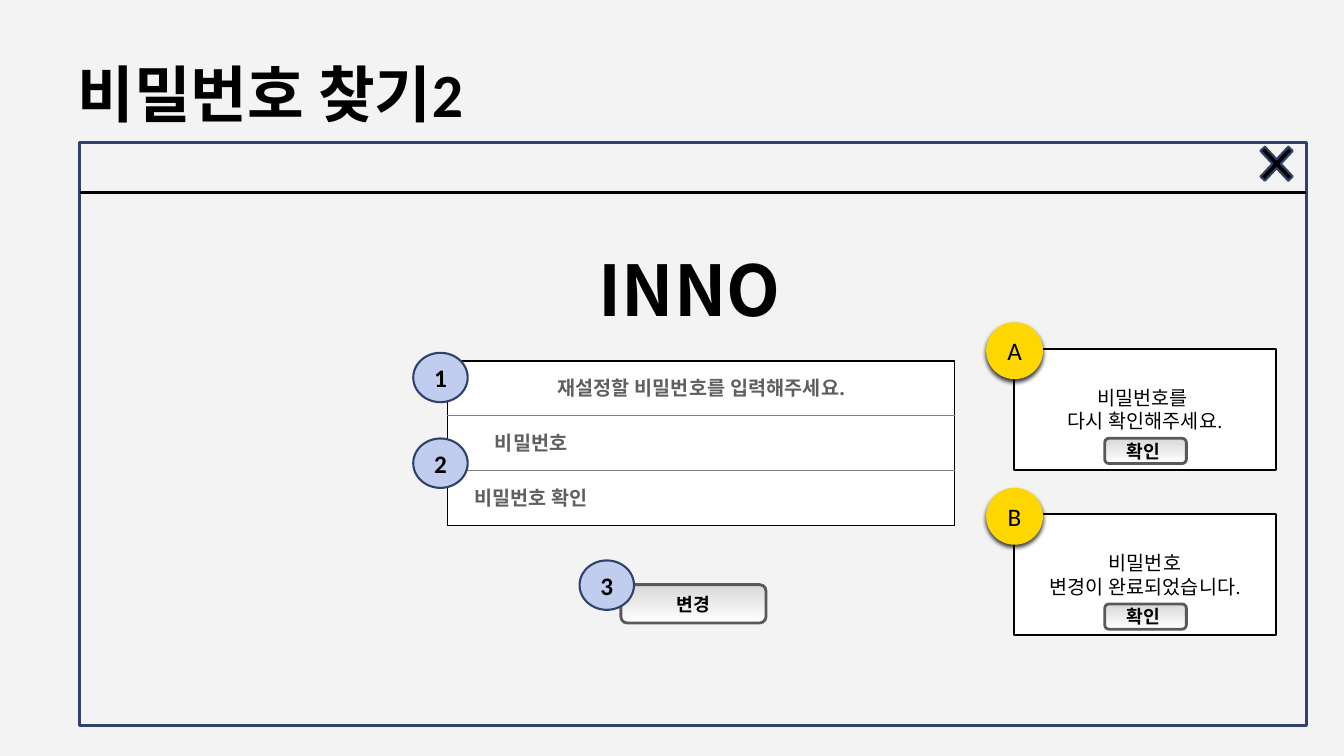
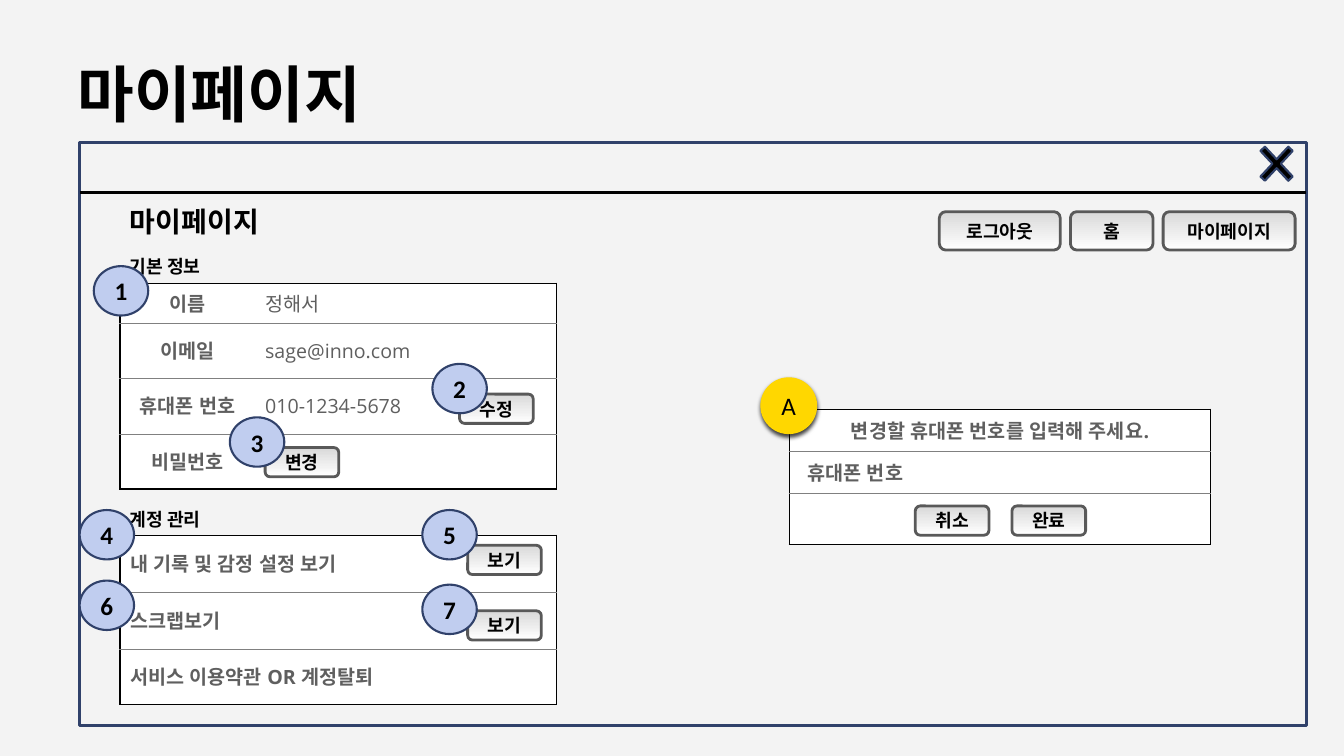
from lxml import etree
from pptx import Presentation
from pptx.dml.color import RGBColor
from pptx.enum import shapes, text
from pptx.oxml import ns
from pptx.util import Pt

BACKGROUND = RGBColor(0xF3, 0xF3, 0xF3)
WHITE = RGBColor(0xFF, 0xFF, 0xFF)
BLACK = RGBColor(0x00, 0x00, 0x00)
NAVY = RGBColor(0x30, 0x41, 0x6A)
LAVENDER = RGBColor(0xC0, 0xCD, 0xEF)
GOLD = RGBColor(0xFF, 0xD7, 0x00)
SILVER = RGBColor(0xD9, 0xD9, 0xD9)
BUTTON_EDGE = RGBColor(0x59, 0x59, 0x59)
CELL_TEXT = RGBColor(0x5F, 0x5F, 0x5F)
ROW_LINE = RGBColor(0x80, 0x80, 0x80)

BODY = "Calibri"
HEADING = "Noto Sans CJK KR"
TABLE = "Open Sans"

SHAPE = shapes.MSO_SHAPE
LEFT, CENTER = text.PP_ALIGN.LEFT, text.PP_ALIGN.CENTER
MIDDLE, TOP = text.MSO_ANCHOR.MIDDLE, text.MSO_ANCHOR.TOP

WINDOW_X, WINDOW_Y, WINDOW_W, WINDOW_H = 57, 101.5, 876.2, 416.9
BAR_Y = 137.5
COLUMN_X = 85.7
SMALL_BUTTON = (52.6, 20.9)


def sub(parent, tag, **attrs):
    return etree.SubElement(parent, ns.qn(tag), attrs)


def points(*values):
    return [Pt(v) for v in values]


# Text
def add_run(p, content, size, font=BODY, color=BLACK, bold=True):
    r = p.add_run()
    r.text = content
    r.font.size = Pt(size)
    r.font.name = font
    r.font.bold = bold
    r.font.color.rgb = color
    sub(r.font._element, "a:ea", typeface=font)


def add_text(s, x, y, w, h, content, size, font=BODY, anchor=TOP):
    tf = s.shapes.add_textbox(*points(x, y, w, h)).text_frame
    tf.word_wrap = True
    tf.vertical_anchor = anchor
    add_run(tf.paragraphs[0], content, size, font)


# Shapes
def add_shape(s, kind, x, y, w, h, edge, width, fill=None,
              lines=(), size=18, bold=True):
    sp = s.shapes.add_shape(kind, *points(x, y, w, h))
    sp.shadow.inherit = False
    sp.line.color.rgb = edge
    sp.line.width = Pt(width)
    if fill is None:
        sp.fill.background()
    else:
        sp.fill.solid()
        sp.fill.fore_color.rgb = fill
    tf = sp.text_frame
    tf.word_wrap = True
    tf.vertical_anchor = MIDDLE
    for i, line in enumerate(lines):
        p = tf.add_paragraph() if i else tf.paragraphs[0]
        p.alignment = CENTER
        add_run(p, line, size, bold=bold)
    return sp


def add_button(s, x, y, w, h, label):
    sp = add_shape(s, SHAPE.ROUNDED_RECTANGLE, x, y, w, h, BUTTON_EDGE, 2,
                   lines=[label], size=13)
    sp.fill.gradient()
    sp.fill.gradient_angle = 270
    for stop, color in zip(sp.fill.gradient_stops, (SILVER, WHITE)):
        stop.color.rgb = color


def add_steps(s, positions):
    """Numbered badges, counted from 1."""
    for number, (x, y) in enumerate(positions, 1):
        add_shape(s, SHAPE.OVAL, x, y, 38.9, 35.3, NAVY, 1.5, LAVENDER,
                  [str(number)])


def add_popup_badge(s, x, y, letter):
    sp = add_shape(s, SHAPE.OVAL, x, y, 39.6, 39.6, GOLD, 1, GOLD,
                   [letter], bold=False)
    effects = sp._element.spPr.find(ns.qn("a:effectLst"))
    shadow = sub(effects, "a:outerShdw", blurRad=str(Pt(3)), dist=str(Pt(2)),
                 dir="5400000", algn="t", rotWithShape="0")
    sub(sub(shadow, "a:srgbClr", val=str(BLACK)), "a:alpha", val="75000")


def add_popup(s, x, y, letter, lines):
    add_shape(s, SHAPE.RECTANGLE, x, y, 187.2, 86.4, BLACK, 1.5, WHITE,
              lines, size=14, bold=False)
    add_popup_badge(s, x - 19.4, y - 18.4, letter)
    add_button(s, x + 64.8, y + 64, 58.3, 18, "확인 ")


# Tables
def set_border(cell, side, color=None, width=0):
    ln = sub(cell._tc.get_or_add_tcPr(), "a:ln" + side, w=str(Pt(width)))
    if color is None:
        sub(ln, "a:noFill")
    else:
        sub(sub(ln, "a:solidFill"), "a:srgbClr", val=str(color))


def add_form(s, x, y, widths, heights, rows, styles):
    """Form with a black frame and grey row lines; styles holds the alignment
    and weight of each column. A row with one text spans all columns."""
    table = s.shapes.add_table(len(heights), len(widths),
                               *points(x, y, sum(widths), sum(heights))).table
    table.first_row = table.horz_banding = False
    for column, w in zip(table.columns, widths):
        column.width = Pt(w)
    for row, h in zip(table.rows, heights):
        row.height = Pt(h)

    frame, divider = (BLACK, 1), (ROW_LINE, 0.5)
    last_row, last_col = len(heights) - 1, len(widths) - 1
    for i, values in enumerate(rows):
        if len(values) == 1 and last_col:
            table.cell(i, 0).merge(table.cell(i, last_col))
        for j in range(len(widths)):
            cell = table.cell(i, j)
            at_right = j + cell.span_width > last_col
            set_border(cell, "L", *(frame if j == 0 else ()))
            set_border(cell, "R", *(frame if at_right else ()))
            set_border(cell, "T", *(frame if i == 0 else divider))
            set_border(cell, "B", *(frame if i == last_row else divider))
            cell.fill.solid()
            cell.fill.fore_color.rgb = WHITE
            cell.vertical_anchor = MIDDLE
            if j < len(values) and values[j]:
                align, bold = styles[j]
                p = cell.text_frame.paragraphs[0]
                p.alignment = align
                add_run(p, values[j], 14, TABLE, CELL_TEXT, bold)


# Parts shared by every screen
def add_screen(prs, title):
    s = prs.slides.add_slide(prs.slide_layouts[6])
    add_text(s, 48.2, 21.6, 864, 90, title, 44, anchor=MIDDLE)
    add_shape(s, SHAPE.RECTANGLE, WINDOW_X, WINDOW_Y, WINDOW_W, WINDOW_H,
              NAVY, 2)
    bar = s.shapes.add_connector(
        shapes.MSO_CONNECTOR.STRAIGHT,
        *points(WINDOW_X, BAR_Y, WINDOW_X + WINDOW_W, BAR_Y))
    bar.line.color.rgb = BLACK
    bar.line.width = Pt(2)
    sub(bar._element.spPr, "a:effectLst")
    close = add_shape(s, SHAPE.MATH_MULTIPLY, 892.8, 96.5, 38.2, 41,
                      NAVY, 1.5, BLACK)
    close.adjustments[0] = 0.114
    return s


def build_password_reset(prs):
    s = add_screen(prs, "비밀번호 찾기2")
    add_text(s, 420.5, 172.8, 149.8, 67, "INNO", 50, HEADING)
    add_form(s, 319.7, 257.8, [119.5, 242.6], [39.1] * 3,
             [["재설정할 비밀번호를 입력해주세요."],
              ["비밀번호", ""],
              ["비밀번호 확인", ""]],
             [(CENTER, True)] * 2)
    add_button(s, 443.5, 417.6, 103.7, 27.4, "변경")
    add_steps(s, [(295.2, 252), (295.2, 313.2), (414, 400.3)])
    add_popup(s, 724.3, 249.1, "A", ["비밀번호를 ", "다시 확인해주세요."])
    add_popup(s, 724.3, 367.4, "B", ["비밀번호", "변경이 완료되었습니다."])


def build_my_page(prs):
    s = add_screen(prs, "마이페이지")
    add_text(s, COLUMN_X, 142.6, 393.8, 30.2, "마이페이지", 20, HEADING)

    # Navigation
    x = 671
    for label, w in (("로그아웃", 86.4), ("홈", 59), ("마이페이지", 94.3)):
        add_button(s, x, 151.2, w, 27.4, label)
        x += w + 7.2

    # Profile and account forms
    add_form(s, COLUMN_X, 202.3, [96.5, 167.8, 47.5], [28.8] + [39.4] * 3,
             [["이름", "정해서", ""],
              ["이메일", "sage@inno.com", ""],
              ["휴대폰 번호", "010-1234-5678", ""],
              ["비밀번호", "", ""]],
             [(CENTER, True), (LEFT, False), (LEFT, False)])
    add_form(s, COLUMN_X, 382.3, [311.8], [40.6, 40.6, 39.8],
             [["내 기록 및 감정 설정 보기"],
              ["스크랩보기"],
              ["서비스 이용약관 OR 계정탈퇴"]],
             [(LEFT, True)])
    for label, y in (("기본 정보", 178.6), ("계정 관리", 359.3)):
        add_text(s, COLUMN_X, y, 380.9, 23, label, 13)

    # Phone number popup
    add_form(s, 563.8, 292.3, [94.3, 160.6, 46.1], [30.2, 30.2, 36],
             [["변경할 휴대폰 번호를 입력해 주세요."],
              ["휴대폰 번호", "", ""],
              ["", "", ""]],
             [(CENTER, True)] * 3)
    add_popup_badge(s, 543.6, 270, "A")

    for label, x, y in (("변경", 189.4, 319.7), ("수정", 328.3, 281.5),
                        ("취소", 653.8, 361.4), ("완료", 722.9, 361.4),
                        ("보기", 334.1, 389.5), ("보기", 334.1, 436.3)):
        add_button(s, x, y, *SMALL_BUTTON, label)
    add_steps(s, [(67, 190.1), (308.9, 259.9), (164.2, 298.1),
                  (56.9, 364.3), (301.7, 364.3),
                  (56.9, 414.7), (301.7, 417.6)])


def main():
    prs = Presentation()
    prs.slide_width, prs.slide_height = points(960, 540)
    fill = prs.slide_master.background.fill
    fill.solid()
    fill.fore_color.rgb = BACKGROUND
    build_password_reset(prs)
    build_my_page(prs)
    prs.save("out.pptx")


if __name__ == "__main__":
    main()
